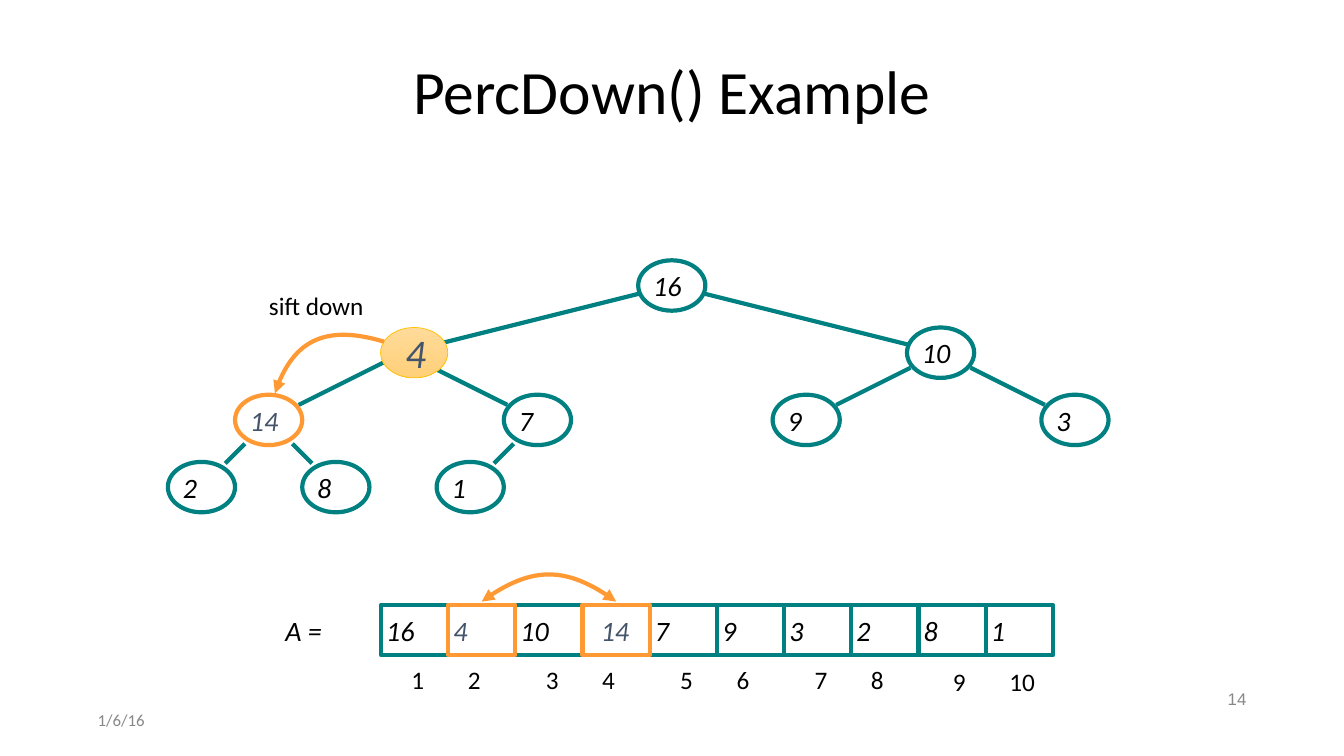
import pptx
import pptx.dml.color
import pptx.enum.shapes
import pptx.enum.text
import pptx.oxml
import pptx.oxml.ns
import pptx.util

Cm = pptx.util.Cm
Pt = pptx.util.Pt
qn = pptx.oxml.ns.qn
MSO_SHAPE = pptx.enum.shapes.MSO_SHAPE
ALIGN = pptx.enum.text.PP_ALIGN
ANCHOR = pptx.enum.text.MSO_ANCHOR

TEAL, ORANGE, SLATE, BLACK, GREY = "008080", "FF9933", "44546A", "000000", "888888"
UNIT = 5.08 / 3  # width of a node or cell, and height of a tree level, in cm
HEIGHT = 1.27    # height of a node or cell, in cm
INSET = 0.13


def rgb(value):
    return pptx.dml.color.RGBColor.from_string(value)


def write(shape, text, size=20, color=BLACK, font="Calibri", italic=False, align=ALIGN.LEFT,
          anchor=ANCHOR.MIDDLE, spacing=None, indent=INSET, padding=0):
    frame = shape.text_frame
    frame.word_wrap = True
    frame.vertical_anchor = anchor
    frame.margin_left, frame.margin_right = Cm(indent), Cm(INSET)
    frame.margin_top = frame.margin_bottom = Cm(padding)
    paragraph = frame.paragraphs[0]
    paragraph.alignment = align
    paragraph.line_spacing = spacing
    run = paragraph.add_run()
    run.text = text
    run.font.size = Pt(size)
    run.font.name = font
    run.font.italic = italic
    run.font.color.rgb = rgb(color)


def label(slide, text, left, top, width, height, **style):
    box = slide.shapes.add_textbox(Cm(left), Cm(top), Cm(width), Cm(height))
    write(box, text, **style)


def key(slide, kind, text, left, top, outline=TEAL, **style):
    """A heap entry: an ellipse in the tree or a cell in the array."""
    shape = slide.shapes.add_shape(kind, Cm(left), Cm(top), Cm(UNIT), Cm(HEIGHT))
    shape.shadow.inherit = False
    shape.fill.solid()
    shape.fill.fore_color.rgb = rgb("FFFFFF")
    shape.line.color.rgb = rgb(outline)
    shape.line.width = Pt(3)
    write(shape, text, italic=True, **style)
    return shape


def edge(slide, start, end):
    line = slide.shapes.add_connector(pptx.enum.shapes.MSO_CONNECTOR.STRAIGHT,
                                      *(Cm(v) for v in (*start, *end)))
    line.line.color.rgb = rgb(TEAL)
    line.line.width = Pt(3)
    pptx.oxml.ns  # namespace helpers
    line.element.spPr.append(pptx.oxml.parse_xml(
        f'<a:effectLst {pptx.oxml.ns.nsdecls("a")}/>'))


def curved_arrow(slide, points, ends):
    """A cubic curve through start, two control points and end."""
    def at(t):
        weights = ((1 - t) ** 3, 3 * t * (1 - t) ** 2, 3 * t * t * (1 - t), t ** 3)
        return tuple(sum(w * p[axis] for w, p in zip(weights, points)) for axis in (0, 1))

    peak = min((at(step / 40) for step in range(41)), key=lambda point: point[1])
    start, *controls, end = [(Cm(x), Cm(y)) for x, y in points]
    builder = slide.shapes.build_freeform(*start)
    builder.add_line_segments([(Cm(peak[0]), Cm(peak[1])), end], close=False)
    curve = builder.convert_to_shape()
    curve.shadow.inherit = False
    curve.fill.background()
    curve.line.color.rgb = rgb(ORANGE)
    curve.line.width = Pt(3)

    # Turn the two straight segments into one cubic segment
    outline = next(curve.element.iter(qn("a:path")))
    for segment in outline.findall(qn("a:lnTo")):
        outline.remove(segment)
    bezier = outline.makeelement(qn("a:cubicBezTo"), {})
    outline.append(bezier)
    for x, y in (*controls, end):
        bezier.append(bezier.makeelement(
            qn("a:pt"), {"x": str(int(x - curve.left)), "y": str(int(y - curve.top))}))

    # Arrowheads
    stroke = curve.element.spPr.find(qn("a:ln"))
    for tag in ends:
        stroke.append(stroke.makeelement(qn(f"a:{tag}"), {"type": "triangle"}))


def heading(slide, left, top, width, height):
    label(slide, "PercDown() Example", left, top, width, height,
          size=44, align=ALIGN.CENTER, spacing=0.9)


def heap_tree(slide, left, top):
    # Heap position: key, column, level
    nodes = {1: ("16", 7, 0), 2: ("4", 3, 1), 3: ("10", 11, 1), 4: ("14", 1, 2),
             5: ("7", 5, 2), 6: ("9", 9, 2), 7: ("3", 13, 2), 8: ("2", 0, 3),
             9: ("8", 2, 3), 10: ("1", 4, 3)}
    sifted, swapped = 2, 4

    def rim(position, other):
        """Where the edge towards another node starts."""
        (_, col, level), (_, col2, level2) = nodes[position], nodes[other]
        dx, dy = col2 - col, level2 - level
        reach = 0 if position == sifted else 0.5 / (dx * dx + dy * dy) ** 0.5
        return (left + UNIT * (col + 0.5 + dx * reach),
                top + HEIGHT / 2 + UNIT * (level + dy * reach))

    # Edges from each parent to its child
    for child in range(2, 11):
        edge(slide, rim(child // 2, child), rim(child, child // 2))

    # Nodes
    for position, (text, col, level) in nodes.items():
        x, y = left + col * UNIT, top + level * UNIT
        if position == sifted:
            node = key(slide, MSO_SHAPE.OVAL, text, x + 0.28, y, outline="FFC000",
                       size=29, color=SLATE, indent=0.38)
            node.line.width = Pt(0.5)
            node.fill.gradient()
            node.fill.gradient_angle = 270
            for stop, shade in zip(node.fill.gradient_stops, ("FFDB9B", "FFD078")):
                stop.color.rgb = rgb(shade)
        elif position == swapped:
            key(slide, MSO_SHAPE.OVAL, text, x, y, outline=ORANGE, color=SLATE)
        else:
            key(slide, MSO_SHAPE.OVAL, text, x, y)

    # Sift arrow and its label
    path_points = ((5.45, 2.05), (4.03, 1.62), (3.11, 2.05), (2.7, 3.35))
    curved_arrow(slide, [(left + x, top + y) for x, y in path_points], ["tailEnd"])
    label(slide, "sift down", left + 2.42, top + 0.63, 2.8, 1.04,
          size=18, anchor=ANCHOR.TOP, padding=INSET)


def heap_array(slide, left, top):
    label(slide, "A =", left - 2.54, top, 1.4, HEIGHT, italic=True)

    # Cells, with the two exchanged ones on top
    keys = ["16", "4", "10", "14", "7", "9", "3", "2", "8", "1"]
    exchanged = {1: INSET, 3: 0.46}
    for i in sorted(range(len(keys)), key=lambda i: i in exchanged):
        style = {}
        if i in exchanged:
            style = {"outline": ORANGE, "color": SLATE, "indent": exchanged[i]}
        key(slide, MSO_SHAPE.RECTANGLE, keys[i], left + i * UNIT, top, **style)

    # Exchange arrow
    curved_arrow(slide, [(left + 1.5 * UNIT, top - 0.08), (left + 2.17 * UNIT, top - 0.94),
                         (left + 2.83 * UNIT, top - 0.94), (left + 3.5 * UNIT, top - 0.08)],
                 ["headEnd", "tailEnd"])

    # Index numbers, set in pairs
    for i in range(len(keys)):
        pair, second = divmod(i, 2)
        last = pair == 4
        x = left + pair * 2 * UNIT + (2.06 if second else 0.64) + 0.1 * last
        label(slide, str(i + 1), x, top + 1.37 + 0.05 * last, 0.94 if i == 9 else 0.62, 1.04,
              size=18, anchor=ANCHOR.TOP, padding=INSET)


def footer(slide, left, width):
    label(slide, "1/6/16", left, 17.78, 7.62, 0.74, size=12, color=GREY)
    label(slide, "14", left + width - 7.62, 17.27, 7.62, 0.74, size=12, color=GREY,
          font="Arial", align=ALIGN.RIGHT, spacing=0.9)


def main():
    deck = pptx.Presentation()
    deck.slide_width, deck.slide_height = Cm(33.87), Cm(19.05)
    slide = deck.slides.add_slide(deck.slide_layouts[6])
    heading(slide, 2.33, 1.02, 29.21, 2.72)
    heap_tree(slide, 4.23, 6.56)
    heap_array(slide, 9.6, 15.24)
    footer(slide, 2.33, 29.21)
    deck.save("out.pptx")


if __name__ == "__main__":
    main()
